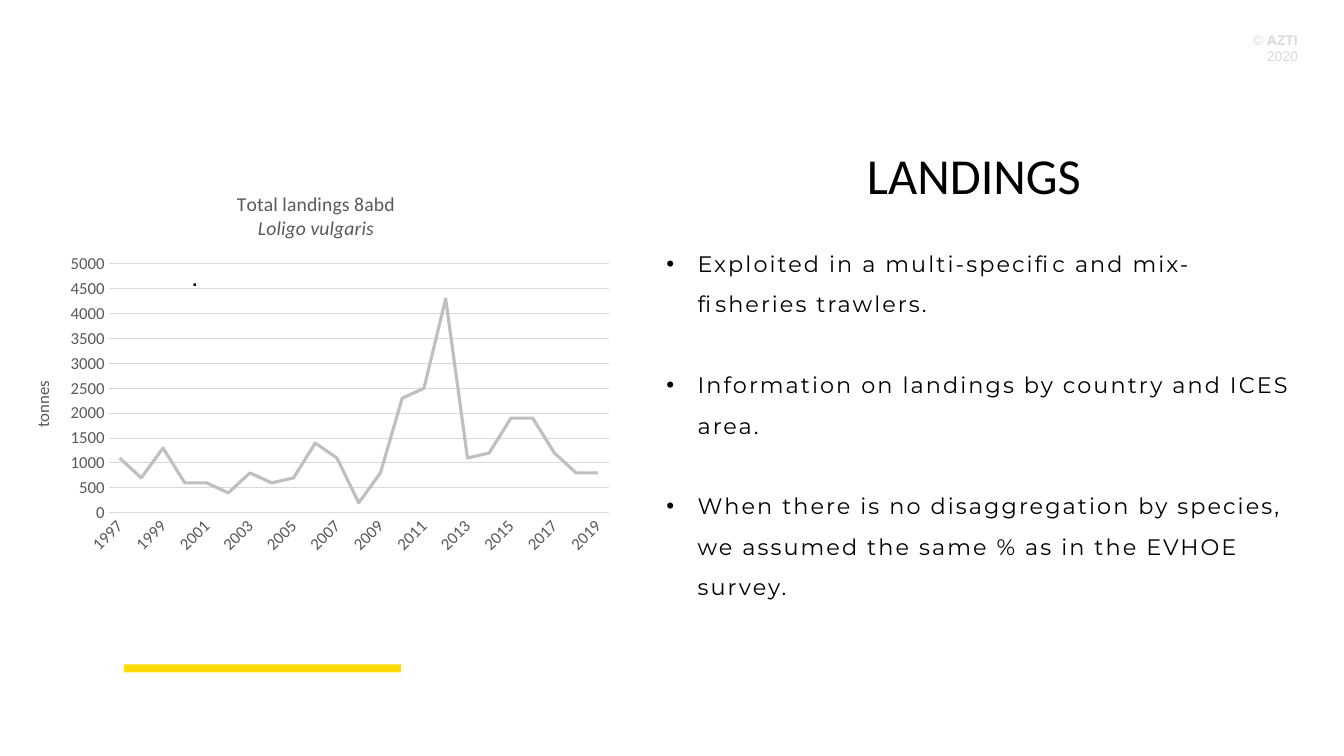
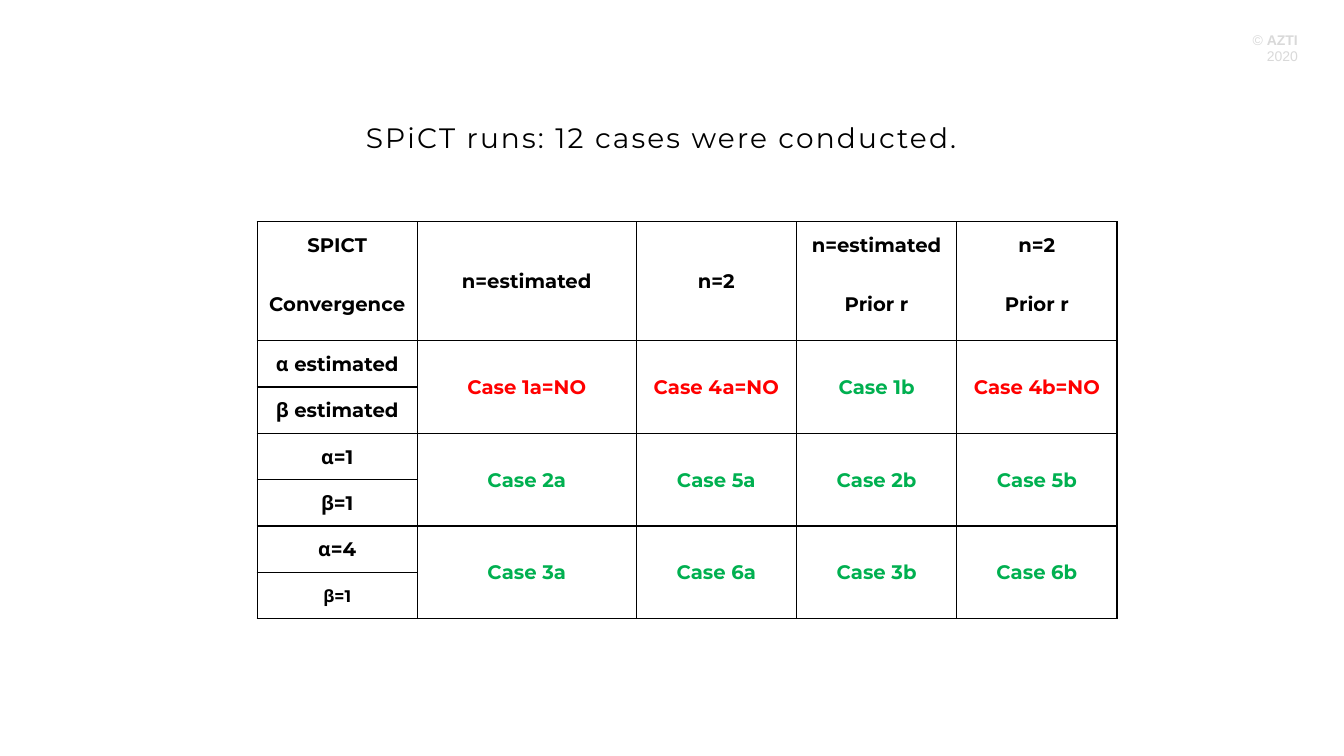
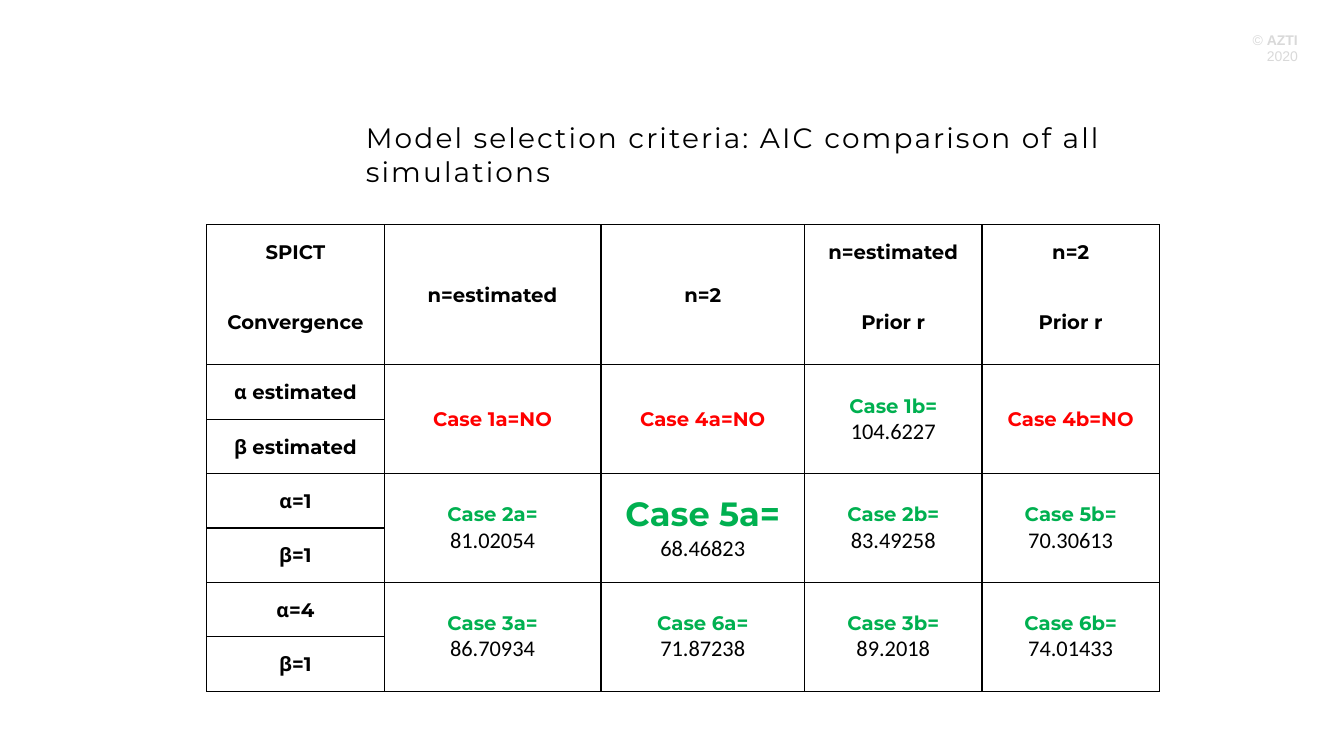
from lxml import etree
from pptx import Presentation
from pptx.chart.data import CategoryChartData
from pptx.dml.color import RGBColor
from pptx.enum import chart as chart_enum, shapes, text
from pptx.oxml.ns import qn
from pptx.util import Inches, Pt

BLACK = RGBColor(0, 0, 0)
DARK_GRAY = RGBColor(0x59, 0x59, 0x59)
LINE_GRAY = RGBColor(0xBF, 0xBF, 0xBF)
LIGHT_GRAY = RGBColor(0xD9, 0xD9, 0xD9)
YELLOW = RGBColor(0xFF, 0xDA, 0x00)
RED = RGBColor(0xFF, 0, 0)
GREEN = RGBColor(0, 0xB0, 0x50)

BODY_FONT = "Montserrat"
CHART_FONT = "Calibri"
SMALL_FONT = "Arial"
NO_TABLE_STYLE = "{2D5ABB26-0587-4C30-8999-92F81FD0307C}"

LANDINGS = [1100, 700, 1300, 600, 600, 400, 800, 600, 700, 1400, 1100, 200,
            800, 2300, 2500, 4300, 1100, 1200, 1900, 1900, 1200, 800, 800]
BULLETS = [
    "Exploited in a multi-specific and mix-fisheries trawlers.",
    "Information on landings by country and ICES area.",
    "When there is no disaggregation by species, we assumed the same % as in the EVHOE survey.",
]
HEADERS = [("SPICT", "Convergence"), "n=estimated", "n=2",
           ("n=estimated", "Prior r"), ("n=2", "Prior r")]
CASE_ROWS = [
    (("α estimated", "β estimated"), ["1a", "4a", "1b", "4b"]),
    (("α=1", "β=1"), ["2a", "5a", "2b", "5b"]),
    (("α=4", "β=1"), ["3a", "6a", "3b", "6b"]),
]
FAILED = {"1a", "4a", "4b"}
AIC = {"1b": 104.6227, "2a": 81.02054, "5a": 68.46823, "2b": 83.49258, "5b": 70.30613,
       "3a": 86.70934, "6a": 71.87238, "3b": 89.2018, "6b": 74.01433}


def style_font(font, size, name=BODY_FONT, color=BLACK, bold=False):
    font.size, font.name, font.bold = Pt(size), name, bold
    font.color.rgb = color


def style_runs(paragraph, size, name=BODY_FONT, color=BLACK, bold=False, spacing=0):
    """Format every run; spacing is the letter spacing in points."""
    for run in paragraph.runs:
        style_font(run.font, size, name, color, bold)
        if spacing:
            run._r.get_or_add_rPr().set("spc", str(round(spacing * 100)))


def add_text(slide, box, content, size, name=BODY_FONT, color=BLACK, spacing=0, wrap=True):
    shape = slide.shapes.add_textbox(*map(Inches, box))
    shape.text_frame.word_wrap = wrap
    shape.text_frame.text = content
    for paragraph in shape.text_frame.paragraphs:
        style_runs(paragraph, size, name, color, spacing=spacing)
    return shape


def add_page(presentation):
    """Blank slide with the shared copyright mark."""
    slide = presentation.slides.add_slide(presentation.slide_layouts[6])
    mark = add_text(slide, (11.97, 0.26, 1, 0.44), "© ", 10, SMALL_FONT, LIGHT_GRAY)
    paragraph = mark.text_frame.paragraphs[0]
    paragraph.alignment = text.PP_ALIGN.RIGHT
    owner = paragraph.add_run()
    owner.text = "AZTI"
    paragraph.add_line_break()
    paragraph.add_run().text = "2020"
    style_runs(paragraph, 10, SMALL_FONT, LIGHT_GRAY)
    owner.font.bold = True
    return slide


def add_heading(slide, content, height):
    add_text(slide, (3.53, 1.15, 8.62, height), content, 20, spacing=1.5)


def add_bullets(slide, box, items):
    shape = add_text(slide, box, "\n".join(items), 16, spacing=1.5)
    for index, paragraph in enumerate(shape.text_frame.paragraphs):
        properties = paragraph._p.get_or_add_pPr()
        properties.set("marL", str(Inches(0.31)))
        properties.set("indent", str(-Inches(0.31)))
        etree.SubElement(properties, qn("a:buFont"), typeface=SMALL_FONT)
        etree.SubElement(properties, qn("a:buChar"), char="•")
        paragraph.line_spacing = 1.5
        if index:
            paragraph.space_before = Pt(29)


def set_plot_area(chart, **fractions):
    """Fix the inner plot area, in fractions of the chart."""
    plot_area = chart._chartSpace.chart.plotArea
    for old in plot_area.findall(qn("c:layout")):
        plot_area.remove(old)
    layout = etree.Element(qn("c:layout"))
    plot_area.insert(0, layout)
    manual = etree.SubElement(layout, qn("c:manualLayout"))
    settings = {"layoutTarget": "inner", "xMode": "edge", "yMode": "edge", **fractions}
    for tag, value in settings.items():
        etree.SubElement(manual, qn("c:" + tag), val=str(value))


def add_landings_chart(slide, box):
    data = CategoryChartData(number_format="0")
    data.categories = [str(1997 + index) for index in range(len(LANDINGS))]
    data.add_series("Series 1", LANDINGS)
    chart = slide.shapes.add_chart(chart_enum.XL_CHART_TYPE.LINE, *map(Inches, box), data).chart
    style_font(chart.font, 12, CHART_FONT)
    chart.has_legend = False
    chart.plots[0].vary_by_categories = False
    set_plot_area(chart, x=0.16, y=0.23, w=0.82, h=0.64)

    chart.has_title = True
    title = chart.chart_title.text_frame
    title.text = "Total landings 8abd\nLoligo vulgaris"
    for paragraph in title.paragraphs:
        style_runs(paragraph, 14, CHART_FONT, DARK_GRAY)
    title.paragraphs[1].runs[0].font.italic = True

    series = chart.plots[0].series[0]
    series.smooth = False
    series.marker.style = chart_enum.XL_MARKER_STYLE.NONE
    series.format.line.color.rgb = LINE_GRAY
    series.format.line.width = Pt(2.25)

    years, tonnes = chart.category_axis, chart.value_axis
    for axis in (years, tonnes):
        axis.major_tick_mark = axis.minor_tick_mark = chart_enum.XL_TICK_MARK.NONE
        style_font(axis.tick_labels.font, 12, CHART_FONT, DARK_GRAY)
    years.format.line.color.rgb = LIGHT_GRAY
    years.format.line.width = Pt(0.75)
    years._element.find(qn("c:txPr")).find(qn("a:bodyPr")).set("rot", "-2700000")
    skip = etree.Element(qn("c:tickLblSkip"), val="2")
    years._element.find(qn("c:noMultiLvlLbl")).addprevious(skip)

    tonnes.minimum_scale, tonnes.maximum_scale, tonnes.major_unit = 0, 5000, 500
    tonnes.tick_labels.number_format = "0"
    tonnes.tick_labels.number_format_is_linked = False
    tonnes.format.line.fill.background()
    tonnes.major_gridlines.format.line.color.rgb = LIGHT_GRAY
    tonnes.major_gridlines.format.line.width = Pt(0.75)
    tonnes.axis_title.text_frame.text = "tonnes"
    style_runs(tonnes.axis_title.text_frame.paragraphs[0], 12, CHART_FONT, DARK_GRAY)


def set_borders(cell, sides):
    properties = cell._tc.get_or_add_tcPr()
    for side in "LRTB":
        if side in sides:
            line = etree.SubElement(properties, qn("a:ln" + side), w=str(Pt(1)))
            fill = etree.SubElement(line, qn("a:solidFill"))
            etree.SubElement(fill, qn("a:srgbClr"), val=str(BLACK))


def fill_cell(cell, content, size=14, color=BLACK):
    """Bold first line; a second line, if any, is a plain figure."""
    cell.text_frame.text = content
    for index, paragraph in enumerate(cell.text_frame.paragraphs):
        paragraph.alignment = text.PP_ALIGN.CENTER
        if index:
            style_runs(paragraph, 16, CHART_FONT)
        else:
            style_runs(paragraph, size, color=color, bold=True)


def fill_case(cell, case, values):
    if case in FAILED:
        fill_cell(cell, f"Case {case}=NO", color=RED)
    elif values:
        best = min(values, key=values.get)
        fill_cell(cell, f"Case {case}=\n{values[case]}", 24 if case == best else 14, GREEN)
    else:
        fill_cell(cell, f"Case {case}", color=GREEN)


def add_case_table(slide, left, top, columns, row_height, header_height, values=None, last_size=14):
    """Grid of cases, each band two rows high; header_height is that of the second row."""
    heights = [row_height, header_height] + [row_height] * 6
    frame = slide.shapes.add_table(len(heights), len(columns), Inches(left), Inches(top),
                                   Inches(sum(columns)), Inches(sum(heights)))
    table = frame.table
    table.first_row = table.horz_banding = False
    table._tbl.tblPr.find(qn("a:tableStyleId")).text = NO_TABLE_STYLE
    for column, width in zip(table.columns, columns):
        column.width = Inches(width)
    for row, height in zip(table.rows, heights):
        row.height = Inches(height)

    bands = [HEADERS] + [[label, *cases] for label, cases in CASE_ROWS]
    for band_index, band in enumerate(bands):
        for column_index, entry in enumerate(band):
            upper = table.cell(2 * band_index, column_index)
            lower = table.cell(2 * band_index + 1, column_index)
            split = isinstance(entry, tuple)
            for cell, sides in ((upper, "LRT" if split else "LRTB"), (lower, "LRB")):
                set_borders(cell, sides)
                cell.fill.background()
                cell.vertical_anchor = text.MSO_ANCHOR.MIDDLE
                cell.margin_left = cell.margin_right = cell.margin_top = Inches(0.01)
                cell.margin_bottom = 0
            if split:
                fill_cell(upper, entry[0])
                fill_cell(lower, entry[1], last_size if band is bands[-1] else 14)
                continue
            upper.merge(lower)
            if band_index:
                fill_case(upper, entry, values)
            else:
                fill_cell(upper, entry)


def build_landings(presentation):
    slide = add_page(presentation)
    add_text(slide, (1.8, 2.54, 0.28, 0.4), ".", 18, SMALL_FONT, spacing=0.9, wrap=False)
    band = slide.shapes.add_shape(shapes.MSO_SHAPE.RECTANGLE,
                                  *map(Inches, (1.23, 6.59, 2.75, 0.08)))
    band.shadow.inherit = False
    band.fill.solid()
    band.fill.fore_color.rgb = YELLOW
    band.line.fill.background()
    add_landings_chart(slide, (0.11, 1.73, 6.05, 3.86))
    add_bullets(slide, (6.51, 2.3, 6.49, 3.29), BULLETS)
    add_text(slide, (8.5, 1.38, 2.35, 0.71), "LANDINGS", 36, CHART_FONT, wrap=False)


def build_runs(presentation):
    slide = add_page(presentation)
    add_case_table(slide, 2.55, 2.2, [1.59, 2.17, 1.59, 1.59, 1.59], 0.46, 0.72, last_size=12)
    add_heading(slide, "SPiCT runs: 12 cases were conducted.", 0.44)


def build_selection(presentation):
    slide = add_page(presentation)
    add_case_table(slide, 2.05, 2.23, [1.76, 2.15, 2.02, 1.76, 1.76], 0.54, 0.85, AIC)
    add_heading(slide, "Model selection criteria: AIC comparison of all simulations", 0.77)


def main():
    presentation = Presentation()
    presentation.slide_width, presentation.slide_height = Inches(13.33), Inches(7.5)
    for build in (build_landings, build_runs, build_selection):
        build(presentation)
    presentation.save("out.pptx")


if __name__ == "__main__":
    main()
